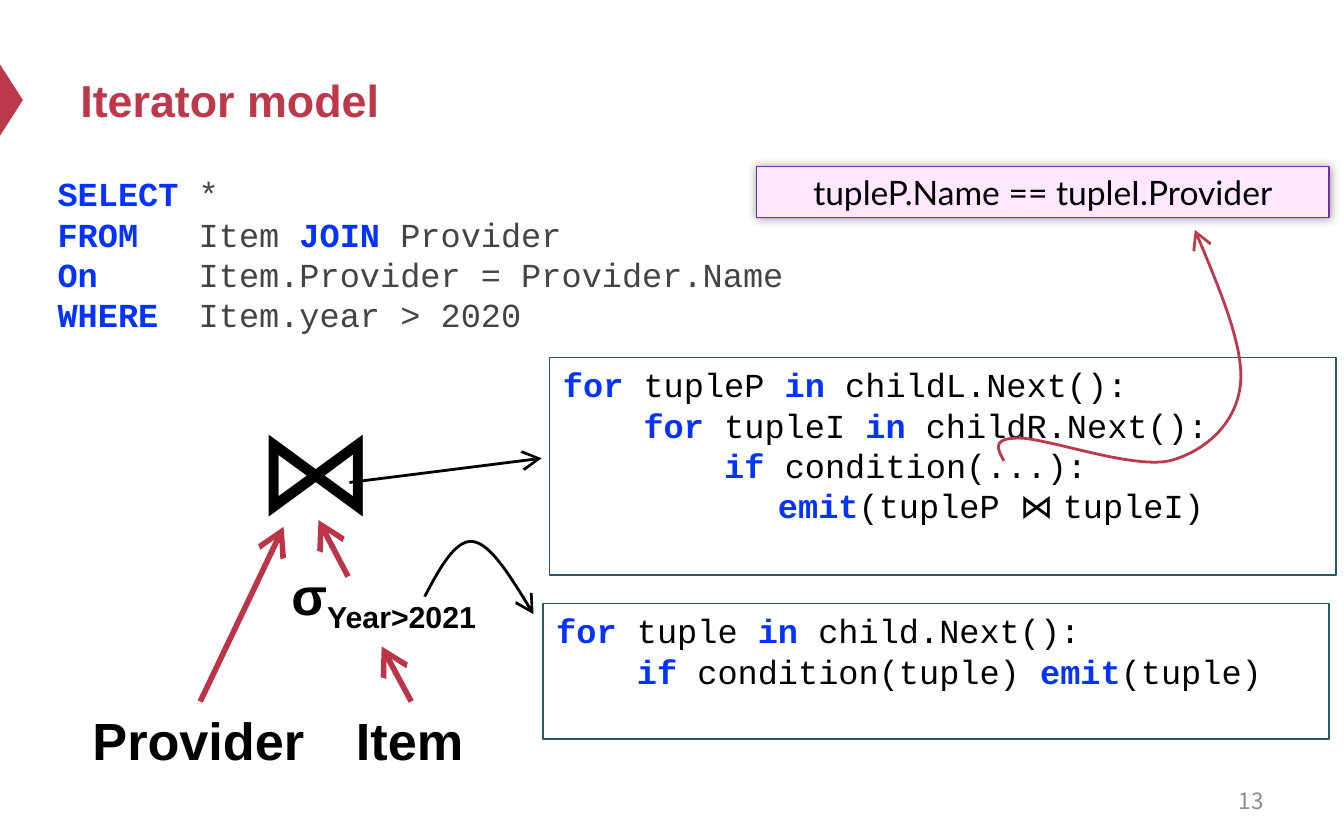
from dataclasses import dataclass

from lxml.etree import SubElement
from pptx import Presentation
from pptx.dml.color import RGBColor
from pptx.enum.shapes import MSO_CONNECTOR, MSO_SHAPE
from pptx.enum.text import MSO_ANCHOR, PP_ALIGN
from pptx.oxml.ns import qn
from pptx.util import Inches, Pt


@dataclass(frozen=True)
class Theme:
    accent: str = "BE384B"
    tree_arrow: str = "BD3347"
    keyword: str = "0432FF"
    sql: str = "444444"
    ink: str = "000000"
    muted: str = "8C8C8C"
    frame: str = "255A6A"
    note_fill: str = "FFE7FF"
    note_line: str = "7030A0"
    sans: str = "Arial"
    mono: str = "Courier New"
    note_font: str = "Lato"
    number_font: str = "Noto Sans CJK SC"
    title_size: int = 24
    code_size: int = 18
    node_size: int = 28
    join_size: int = 64
    number_size: int = 12


THEME = Theme()
JOIN = "⋈ "

# Each code line alternates keyword and plain text, starting with a keyword.
QUERY = [
    ("SELECT", " *"),
    ("FROM", "   Item ", "JOIN", " Provider"),
    ("On     ", "Item.Provider = Provider.Name"),
    ("WHERE  ", "Item.year > 2020"),
]
JOIN_LOOP = [
    ("for ", "tupleP", " in ", "childL.Next():"),
    ("    for ", "tupleI", " in ", "childR.Next():"),
    ("        if ", "condition(...):"),
    ("\t    emit", "(tupleP " + JOIN + "tupleI)"),
]
FILTER_LOOP = [
    ("for ", "tuple", " in ", "child.Next():"),
    ("    if ", "condition(tuple) ", "emit", "(tuple)"),
]


def rgb(color):
    return RGBColor.from_string(color)


def add_run(paragraph, text, size, color=THEME.ink, font=THEME.sans, bold=False):
    run = paragraph.add_run()
    run.text = text
    run.font.size = Pt(size)
    run.font.name = font
    run.font.bold = bold
    run.font.color.rgb = rgb(color)
    return run


def add_label(slide, box, text, size, wrap=True, anchor=MSO_ANCHOR.TOP,
              align=PP_ALIGN.LEFT, **style):
    frame = slide.shapes.add_textbox(*map(Inches, box)).text_frame
    frame.word_wrap = wrap
    frame.vertical_anchor = anchor
    paragraph = frame.paragraphs[0]
    paragraph.alignment = align
    add_run(paragraph, text, size, **style)
    return paragraph


def add_panel(slide, box, line, fill=None, kind=MSO_SHAPE.RECTANGLE):
    panel = slide.shapes.add_shape(kind, *map(Inches, box))
    panel.shadow.inherit = False
    if fill:
        panel.fill.solid()
        panel.fill.fore_color.rgb = rgb(fill)
    else:
        panel.fill.background()
    if line:
        panel.line.color.rgb = rgb(line)
        panel.line.width = Pt(0.75)
    else:
        panel.line.fill.background()
    return panel


def add_tab_stop(paragraph, position):
    tabs = SubElement(paragraph._p.get_or_add_pPr(), qn("a:tabLst"))
    SubElement(tabs, qn("a:tab"), pos=str(position), algn="l")


def write_code(frame, lines, color):
    frame.word_wrap = True
    frame.vertical_anchor = MSO_ANCHOR.TOP
    for number, pieces in enumerate(lines):
        paragraph = frame.add_paragraph() if number else frame.paragraphs[0]
        paragraph.alignment = PP_ALIGN.LEFT
        if pieces[0].startswith("\t"):
            add_tab_stop(paragraph, Inches(1))
        for index, piece in enumerate(pieces):
            if index % 2 == 0:
                add_run(paragraph, piece, THEME.code_size, THEME.keyword,
                        THEME.mono, bold=True)
                continue
            before, symbol, after = piece.partition(JOIN)
            for text, font in ((before, THEME.mono), (symbol, THEME.sans),
                               (after, THEME.mono)):
                if text:
                    add_run(paragraph, text, THEME.code_size, color, font)


def style_arrow(arrow, color, width):
    arrow.line.color.rgb = rgb(color)
    arrow.line.width = Pt(width)
    SubElement(arrow.line._get_or_add_ln(), qn("a:tailEnd"), type="arrow",
               w="lg", len="lg")


def add_arrow(slide, start, end, color, width):
    arrow = slide.shapes.add_connector(MSO_CONNECTOR.STRAIGHT,
                                       *map(Inches, start + end))
    style_arrow(arrow, color, width)
    SubElement(arrow._element.spPr, qn("a:effectLst"))


def bezier(p0, p1, p2, p3, steps=16):
    """Points along a cubic curve, without its start."""
    for step in range(1, steps + 1):
        t = step / steps
        u = 1 - t
        yield tuple(u**3 * a + 3 * u * u * t * b + 3 * u * t * t * c + t**3 * d
                    for a, b, c, d in zip(p0, p1, p2, p3))


def add_curved_arrow(slide, knots, color, width):
    """Knots are a start followed by two controls and an end per curve."""
    knots = [(Inches(x), Inches(y)) for x, y in knots]
    points = [point for i in range(0, len(knots) - 1, 3)
              for point in bezier(*knots[i:i + 4])]
    builder = slide.shapes.build_freeform(*knots[0])
    builder.add_line_segments(points, close=False)
    curve = builder.convert_to_shape()
    curve.shadow.inherit = False
    curve.fill.background()
    style_arrow(curve, color, width)


def add_glow(shape):
    effects = shape._element.spPr.find(qn("a:effectLst"))
    shadow = SubElement(effects, qn("a:outerShdw"), blurRad=str(Pt(5)), dist="0",
                        dir="0", rotWithShape="0")
    black = SubElement(shadow, qn("a:srgbClr"), val=THEME.ink)
    SubElement(black, qn("a:alpha"), val="40000")


def add_header(slide):
    marker = add_panel(slide, (-0.18, 0.66, 0.53, 0.17), None, THEME.accent,
                       MSO_SHAPE.ISOSCELES_TRIANGLE)
    marker.rotation = 90
    add_label(slide, (0.5, 0.25, 9, 0.98), "Iterator model", THEME.title_size,
              anchor=MSO_ANCHOR.MIDDLE, color=THEME.accent, bold=True)
    add_label(slide, (7.17, 5.79, 2.33, 0.33), "13", THEME.number_size,
              anchor=MSO_ANCHOR.MIDDLE, align=PP_ALIGN.RIGHT,
              color=THEME.muted, font=THEME.number_font)


def add_plan_tree(slide):
    add_label(slide, (1.81, 2.88, 0.87, 1.18), JOIN.strip(), THEME.join_size)
    for left, width, table in ((0.59, 1.8, "Provider"), (2.55, 1.01, "Item")):
        add_label(slide, (left, 5.22, width, 0.57), table, THEME.node_size,
                  wrap=False, bold=True)
    selection = add_label(slide, (2.07, 4.14, 1.76, 0.57), "σ", THEME.node_size,
                          wrap=False, bold=True)
    predicate = add_run(selection, "Year>2021", THEME.node_size, bold=True)
    predicate.font._element.set("baseline", "-25000")
    for start, end in (((3.06, 5.22), (2.84, 4.81)),
                       ((2.59, 4.29), (2.37, 3.87)),
                       ((1.49, 5.22), (2.11, 3.92))):
        add_arrow(slide, start, end, THEME.tree_arrow, 3)


def add_code(slide):
    query = slide.shapes.add_textbox(*map(Inches, (0.33, 1.24, 5.85, 1.31)))
    write_code(query.text_frame, QUERY, THEME.sql)
    for box, lines in (((4.09, 2.66, 5.85, 1.62), JOIN_LOOP),
                       ((4.04, 4.49, 5.85, 1.01), FILTER_LOOP)):
        write_code(add_panel(slide, box, THEME.frame).text_frame, lines, THEME.ink)


def add_condition_note(slide):
    note = add_panel(slide, (5.63, 1.24, 4.26, 0.38), THEME.note_line,
                     THEME.note_fill)
    add_glow(note)
    frame = note.text_frame
    frame.margin_top = frame.margin_bottom = Inches(0.04)
    frame.vertical_anchor = MSO_ANCHOR.TOP
    paragraph = frame.paragraphs[0]
    paragraph.alignment = PP_ALIGN.CENTER
    add_run(paragraph, "tupleP.Name == tupleI.Provider", THEME.code_size,
            font=THEME.note_font)


def add_callouts(slide):
    add_curved_arrow(slide, [(3.16, 4.44), (3.27, 4.23), (3.39, 4.01), (3.52, 4.03),
                             (3.66, 4.05), (3.81, 4.31), (3.97, 4.57)],
                     THEME.ink, 1.5)
    add_arrow(slide, (2.6, 3.59), (4.03, 3.41), THEME.ink, 1.5)
    add_curved_arrow(slide, [(7.47, 3.43), (7.42, 3.34), (7.38, 3.26), (7.58, 3.26),
                             (7.79, 3.26), (8.42, 3.49), (8.7, 3.43),
                             (8.97, 3.36), (9.2, 3.15), (9.23, 2.86),
                             (9.26, 2.58), (9.07, 2.14), (8.89, 1.71)],
                     THEME.accent, 1.5)


def main():
    deck = Presentation()
    deck.slide_width, deck.slide_height = Inches(10), Inches(6.25)
    slide = deck.slides.add_slide(deck.slide_layouts[6])
    add_header(slide)
    add_plan_tree(slide)
    add_code(slide)
    add_condition_note(slide)
    add_callouts(slide)
    deck.save("out.pptx")


if __name__ == "__main__":
    main()
